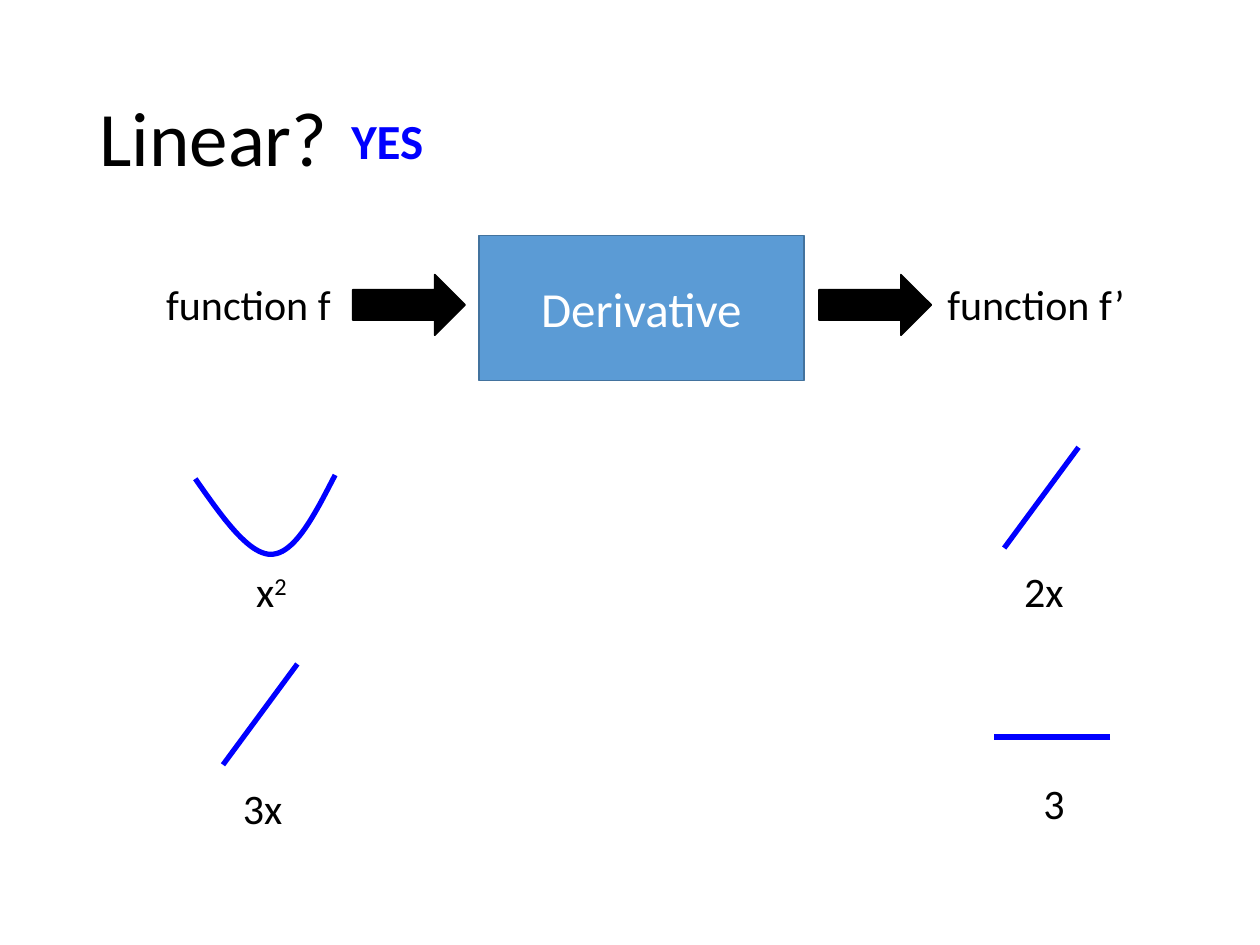
"""Build a slide asking whether the derivative is a linear operator."""
from dataclasses import dataclass

from lxml.etree import SubElement
from pptx import Presentation
from pptx.dml.color import RGBColor
from pptx.enum.shapes import MSO_CONNECTOR as Connector, MSO_SHAPE as Shape
from pptx.enum.text import MSO_ANCHOR as Anchor, PP_ALIGN as Align
from pptx.oxml.ns import qn
from pptx.slide import Slide
from pptx.util import Inches, Pt


def color(value):
    return RGBColor.from_string(value)


def bezier(start, control_1, control_2, end, steps=24):
    points = []
    for step in range(1, steps + 1):
        t = step / steps
        weights = ((1 - t) ** 3, 3 * t * (1 - t) ** 2, 3 * t ** 2 * (1 - t), t ** 3)
        points.append(tuple(
            sum(weight * value for weight, value in zip(weights, axis))
            for axis in zip(start, control_1, control_2, end)))
    return points


@dataclass
class Board:
    slide: Slide
    font: str = "Calibri"
    ink: str = "000000"
    accent: str = "0000FF"
    text_size: int = 24
    graph_width: int = 3

    def format_run(self, run, size, ink, bold=False):
        run.font.name = self.font
        run.font.size = Pt(size)
        run.font.bold = bold
        run.font.color.rgb = color(ink)

    def text(self, box, words, size=None, ink=None, bold=False, align=Align.LEFT,
             anchor=Anchor.TOP, wrap=True, superscript=None):
        shape = self.slide.shapes.add_textbox(*map(Inches, box))
        frame = shape.text_frame
        frame.word_wrap = wrap
        frame.vertical_anchor = anchor
        frame.text = words
        paragraph = frame.paragraphs[0]
        paragraph.alignment = align
        if superscript:
            run = paragraph.add_run()
            run.text = superscript
            run.font._element.set("baseline", "30000")
        for run in paragraph.runs:
            self.format_run(run, size or self.text_size, ink or self.ink, bold)
        return paragraph

    def block(self, kind, box, fill, line, words=""):
        shape = self.slide.shapes.add_shape(kind, *map(Inches, box))
        shape.shadow.inherit = False
        shape.fill.solid()
        shape.fill.fore_color.rgb = color(fill)
        shape.line.color.rgb = color(line)
        shape.line.width = Pt(1)
        if words:
            frame = shape.text_frame
            frame.text = words
            frame.vertical_anchor = Anchor.MIDDLE
            frame.paragraphs[0].alignment = Align.CENTER
            self.format_run(frame.paragraphs[0].runs[0], 28, "FFFFFF")

    def style_graph(self, shape):
        shape.line.color.rgb = color(self.accent)
        shape.line.width = Pt(self.graph_width)

    def line(self, start, end):
        connector = self.slide.shapes.add_connector(
            Connector.STRAIGHT, *map(Inches, start + end))
        SubElement(connector._element.spPr, qn("a:effectLst"))
        self.style_graph(connector)

    def curve(self, start, *segments):
        points = [start]
        for segment in segments:
            points += bezier(points[-1], *segment)
        first, *others = [(Inches(x), Inches(y)) for x, y in points]
        builder = self.slide.shapes.build_freeform(*first)
        builder.add_line_segments(others, close=False)
        shape = builder.convert_to_shape()
        shape.shadow.inherit = False
        shape.fill.background()
        self.style_graph(shape)


def main():
    presentation = Presentation()
    presentation.slide_width = Inches(10)
    presentation.slide_height = Inches(7.5)
    board = Board(presentation.slides.add_slide(presentation.slide_layouts[6]))

    title = board.text((0.69, 0.4, 8.62, 1.45), "Linear?", size=44, anchor=Anchor.MIDDLE)
    title.line_spacing = 0.9
    board.text((2.69, 0.83, 0.78, 0.57), "YES", size=28, ink=board.accent,
               bold=True, wrap=False)

    board.block(Shape.RECTANGLE, (3.8, 1.87, 2.58, 1.15), "5B9BD5", "43739E", "Derivative")
    for left in (2.8, 6.5):
        board.block(Shape.RIGHT_ARROW, (left, 2.18, 0.89, 0.48), board.ink, board.ink)
    board.text((1.22, 2.16, 1.56, 0.5), "function f")
    board.text((7.42, 2.16, 2, 0.5), "function f’")

    board.curve((1.55, 3.8),
                ((1.76, 4.1), (1.97, 4.4), (2.15, 4.4)),
                ((2.34, 4.4), (2.5, 4.08), (2.66, 3.77)))
    for start, end in (((8.56, 3.55), (7.97, 4.35)),
                       ((2.36, 5.27), (1.77, 6.07)),
                       ((8.81, 5.85), (7.89, 5.85))):
        board.line(start, end)

    board.text((1.62, 4.44, 1.07, 0.5), "x", align=Align.CENTER, superscript="2")
    for left, top, words in ((7.68, 4.44, "2x"), (1.48, 6.16, "3x"), (7.76, 6.12, "3")):
        board.text((left, top, 1.21, 0.5), words, align=Align.CENTER)

    presentation.save("out.pptx")


if __name__ == "__main__":
    main()
